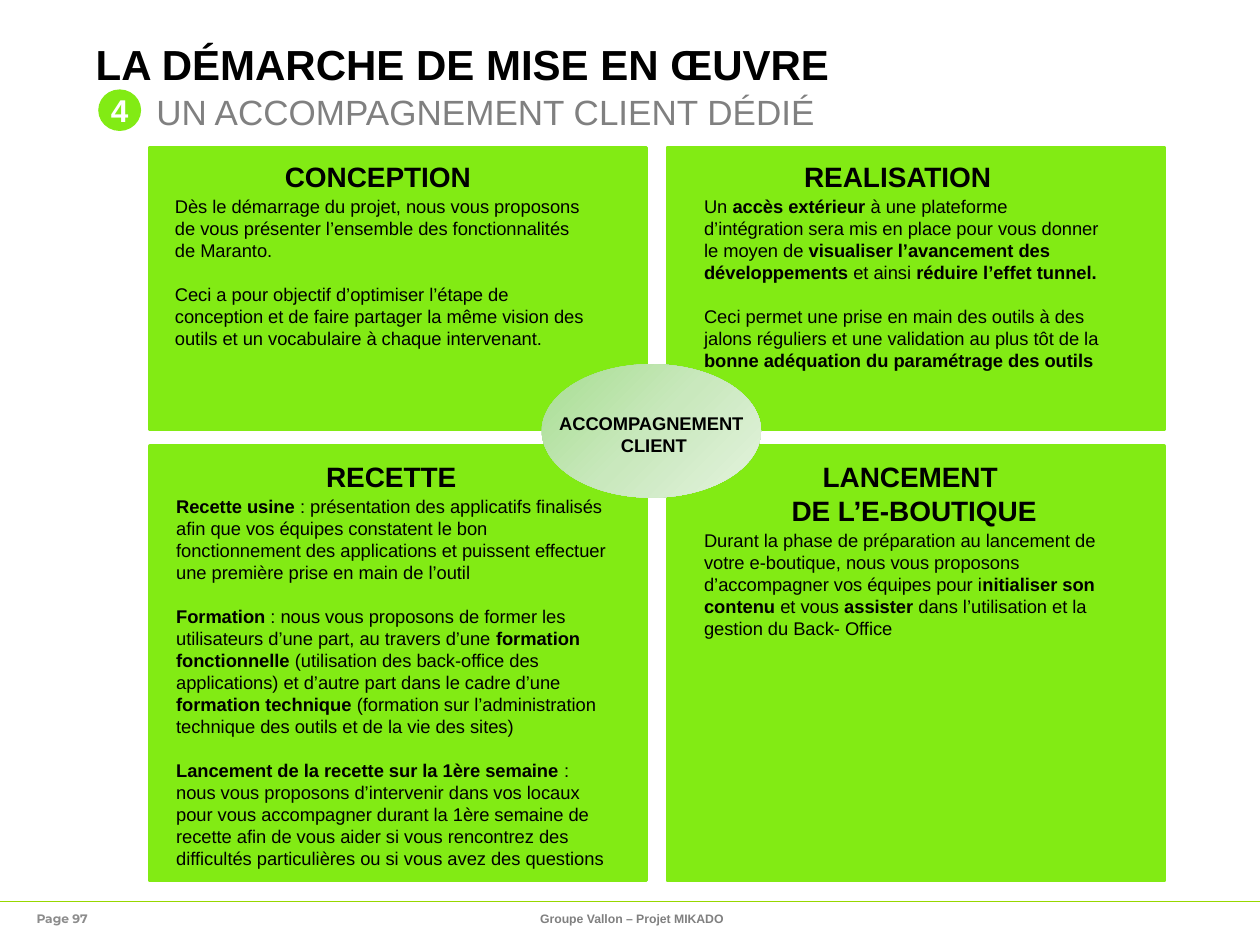
from dataclasses import dataclass

import pptx
import pptx.dml.color
import pptx.enum.dml
import pptx.enum.shapes
import pptx.enum.text
import pptx.oxml
import pptx.oxml.ns
import pptx.util
from pptx.util import Inches

ALIGN = pptx.enum.text.PP_ALIGN
ANCHOR = pptx.enum.text.MSO_ANCHOR
SHAPE = pptx.enum.shapes.MSO_SHAPE


@dataclass(frozen=True)
class Theme:
    font: str = "Arial"
    page_font: str = "Montserrat"
    green: str = "82EB14"
    rule: str = "97D700"
    black: str = "000000"
    white: str = "FFFFFF"
    grey: str = "808080"
    page_grey: str = "8C8C8C"
    oval: tuple = ((0, "A7DE91"), (50, "C9E8BD"), (100, "E4F3DF"))
    title: float = 24
    subtitle: float = 20
    number: float = 18
    heading: float = 16
    body: float = 10.5
    footer: float = 7
    body_gap: float = 12.6


@dataclass(frozen=True)
class Box:
    left: float
    top: float
    width: float
    height: float

    def emu(self) -> tuple:
        return tuple(Inches(v) for v in (self.left, self.top, self.width, self.height))


@dataclass(frozen=True)
class Phase:
    panel: Box
    heading: list
    heading_box: Box
    body: list  # paragraphs; ** switches bold on and off
    body_box: Box


THEME = Theme()


def rgb(value: str):
    return pptx.dml.color.RGBColor.from_string(value)


def write(frame, paragraphs: list, *, size: float, color: str = THEME.black,
          font: str = THEME.font, bold: bool = False, align=ALIGN.LEFT,
          anchor=ANCHOR.TOP, inset: bool = True, wrap: bool = True,
          spacing: float = 1.0, gap: float = 0) -> None:
    """Fill a text frame; ** in the text toggles bold."""
    frame.word_wrap = wrap
    frame.vertical_anchor = anchor
    if not inset:
        frame.margin_left = frame.margin_right = frame.margin_top = frame.margin_bottom = 0
    for index, text in enumerate(paragraphs):
        paragraph = frame.paragraphs[0] if index == 0 else frame.add_paragraph()
        paragraph.alignment = align
        paragraph.line_spacing = spacing
        if index and gap:
            paragraph.space_before = pptx.util.Pt(gap)
        for part, piece in enumerate(text.split("**")):
            if not piece:
                continue
            run = paragraph.add_run()
            run.text = piece
            run.font.name = font
            run.font.size = pptx.util.Pt(size)
            run.font.bold = bold or part % 2 == 1
            run.font.color.rgb = rgb(color)


def add_text(slide, box: Box, paragraphs: list, **style) -> None:
    write(slide.shapes.add_textbox(*box.emu()).text_frame, paragraphs, **style)


def add_block(slide, kind, box: Box, fill: str = "", line: str = ""):
    block = slide.shapes.add_shape(kind, *box.emu())
    block.shadow.inherit = False
    if fill:
        block.fill.solid()
        block.fill.fore_color.rgb = rgb(fill)
    if line:
        block.line.color.rgb = rgb(line)
        block.line.width = pptx.util.Pt(2)
    else:
        block.line.fill.background()
    return block


def add_gradient(block, stops: tuple, angle: int) -> None:
    marks = "".join(f'<a:gs pos="{pos * 1000}"><a:srgbClr val="{color}"/></a:gs>'
                    for pos, color in stops)
    gradient = pptx.oxml.parse_xml(
        f'<a:gradFill {pptx.oxml.ns.nsdecls("a")} rotWithShape="1"><a:gsLst>{marks}</a:gsLst>'
        f'<a:lin ang="{angle * 60000}" scaled="0"/></a:gradFill>')
    block._element.spPr.find(pptx.oxml.ns.qn("a:prstGeom")).addnext(gradient)


def add_rule(slide, top: float) -> None:
    rule = slide.shapes.add_connector(pptx.enum.shapes.MSO_CONNECTOR.STRAIGHT,
                                      0, Inches(top), Inches(10), Inches(top))
    rule.line.color.rgb = rgb(THEME.rule)
    rule.line.width = pptx.util.Pt(0.25)
    rule._element.spPr.append(
        pptx.oxml.parse_xml(f'<a:effectLst {pptx.oxml.ns.nsdecls("a")}/>'))


# Two by two grid of panels
COLUMNS = (1.19, 5.3)
ROWS = ((1.17, 2.24), (3.54, 3.45))
PANELS = [Box(left, top, 3.94, height) for top, height in ROWS for left in COLUMNS]

PHASES = [
    Phase(PANELS[0], ["CONCEPTION"], Box(2.15, 1.22, 1.7, 0.37), [
        "Dès le démarrage du projet, nous vous proposons de vous présenter l’ensemble des "
        "fonctionnalités de Maranto.",
        "Ceci a pour objectif d’optimiser l’étape de conception et de faire partager la même "
        "vision des outils et un vocabulaire à chaque intervenant.",
    ], Box(1.29, 1.5, 3.52, 1.34)),
    Phase(PANELS[1], ["REALISATION"], Box(6.24, 1.22, 1.77, 0.37), [
        "Un **accès extérieur **à une plateforme d’intégration sera mis en place pour vous "
        "donner le moyen de **visualiser l’avancement des développements** et ainsi "
        "**réduire l’effet tunnel.**",
        "Ceci permet une prise en main des outils à des jalons réguliers et une validation au "
        "plus tôt de la **bonne adéquation du paramétrage des outils**",
    ], Box(5.49, 1.5, 3.43, 1.51)),
    Phase(PANELS[2], ["RECETTE"], Box(2.48, 3.6, 1.25, 0.37), [
        "**Recette usine** : présentation des applicatifs finalisés afin que vos équipes "
        "constatent le bon fonctionnement des applications et puissent effectuer une première "
        "prise en main de l’outil",
        "**Formation** : nous vous proposons de former les utilisateurs d’une part, au travers "
        "d’une **formation fonctionnelle **(utilisation des back-office des applications) et "
        "d’autre part dans le cadre d’une **formation technique **(formation sur "
        "l’administration technique des outils et de la vie des sites)",
        "**Lancement de la recette sur la 1ère semaine** : nous vous proposons d’intervenir "
        "dans vos locaux pour vous accompagner durant la 1ère semaine de recette afin de vous "
        "aider si vous rencontrez des difficultés particulières ou si vous avez des questions",
    ], Box(1.3, 3.88, 3.67, 3.11)),
    Phase(PANELS[3], ["LANCEMENT ", "DE L’E-BOUTIQUE"], Box(5.79, 3.6, 2.93, 0.64), [
        "Durant la phase de préparation au lancement de votre e-boutique, nous vous proposons "
        "d’accompagner vos équipes pour i**nitialiser son contenu **et vous **assister **dans "
        "l’utilisation et la gestion du Back- Office",
    ], Box(5.49, 4.15, 3.43, 0.98)),
]


def main() -> None:
    deck = pptx.Presentation()
    deck.slide_width, deck.slide_height = Inches(10), Inches(7.5)
    slide = deck.slides.add_slide(deck.slide_layouts[6])

    # Footer
    add_rule(slide, 7.15)
    footer = dict(size=THEME.footer, bold=True, anchor=ANCHOR.MIDDLE, inset=False)
    add_text(slide, Box(3.43, 7.18, 3.17, 0.22), ["Groupe Vallon – Projet MIKADO"],
             color=THEME.grey, align=ALIGN.CENTER, **footer)
    add_text(slide, Box(0.29, 7.18, 2.33, 0.22), ["Page 97"],
             color=THEME.page_grey, font=THEME.page_font, **footer)

    # Title, subtitle and step number
    add_text(slide, Box(0.76, 0.35, 8.79, 0.36), ["LA DÉMARCHE DE MISE EN ŒUVRE"],
             size=THEME.title, bold=True, inset=False, spacing=0.9)
    add_text(slide, Box(1.24, 0.78, 8.29, 0.18), ["UN ACCOMPAGNEMENT CLIENT DÉDIÉ"],
             size=THEME.subtitle, color=THEME.grey, inset=False, spacing=0.8)
    step = add_block(slide, SHAPE.OVAL, Box(0.78, 0.71, 0.34, 0.33), fill=THEME.green)
    write(step.text_frame, ["4"], size=THEME.number, color=THEME.white, bold=True,
          align=ALIGN.CENTER, anchor=ANCHOR.MIDDLE, wrap=False)

    # Project phases
    for phase in PHASES:
        add_block(slide, SHAPE.RECTANGLE, phase.panel, fill=THEME.green, line=THEME.green)
        add_text(slide, phase.heading_box, phase.heading, size=THEME.heading, bold=True,
                 align=ALIGN.CENTER, wrap=False)
        add_text(slide, phase.body_box, phase.body, size=THEME.body, gap=THEME.body_gap)

    # Central theme
    centre = add_block(slide, SHAPE.OVAL, Box(4.3, 2.89, 1.74, 1.06))
    add_gradient(centre, THEME.oval, 45)
    add_text(slide, Box(4.29, 3.22, 1.8, 0.45), ["ACCOMPAGNEMENT ", "CLIENT"],
             size=THEME.body, bold=True, align=ALIGN.CENTER)

    deck.save("out.pptx")


if __name__ == "__main__":
    main()
